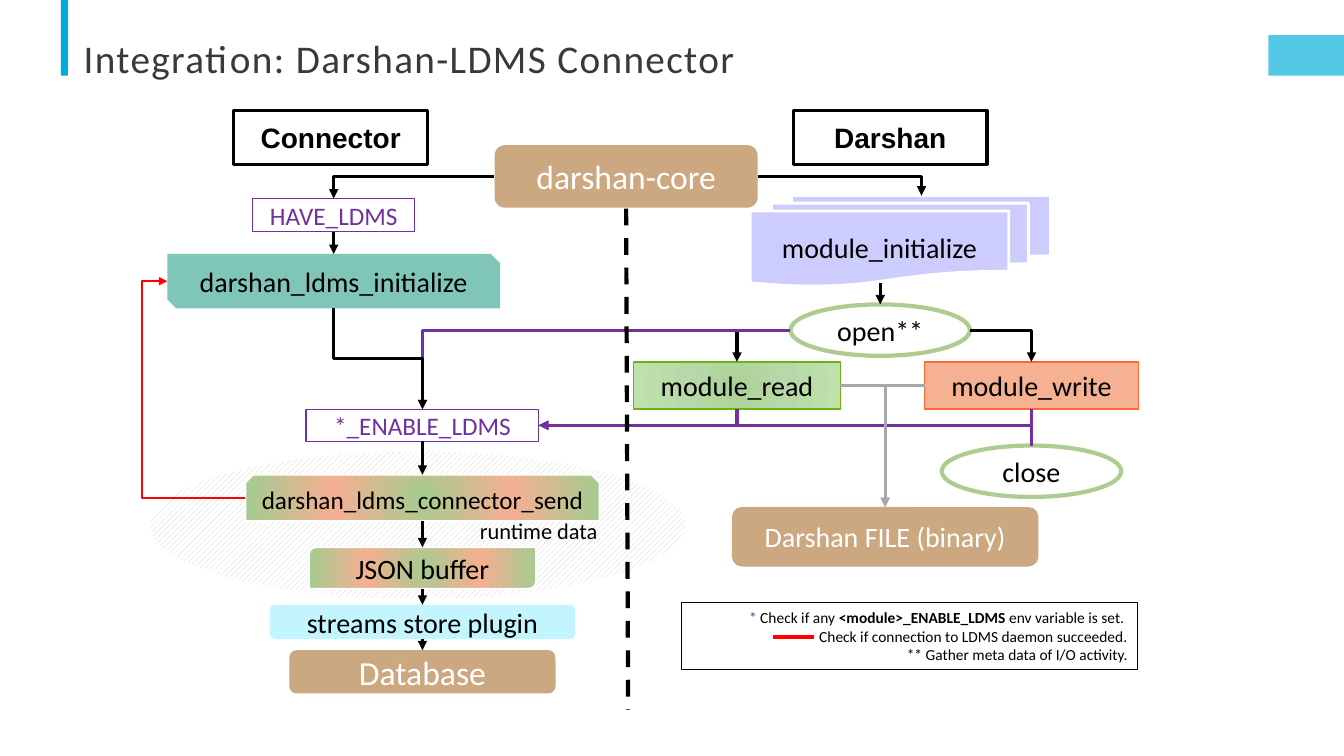
"""Build the Darshan-LDMS Connector integration flow slide."""
from lxml.etree import SubElement
from pptx import Presentation
from pptx.dml.color import RGBColor
from pptx.enum.dml import MSO_LINE, MSO_PATTERN
from pptx.enum.shapes import MSO_CONNECTOR as Link, MSO_SHAPE as Shape
from pptx.enum.text import MSO_ANCHOR as Anchor, PP_ALIGN as Align
from pptx.oxml import parse_xml
from pptx.oxml.ns import nsdecls, qn
from pptx.util import Inches, Pt

BLACK, WHITE = RGBColor(0, 0, 0), RGBColor(255, 255, 255)
RED, PURPLE = RGBColor(255, 0, 0), RGBColor(0x70, 0x30, 0xA0)
GREY, HATCH = RGBColor(0xA8, 0xA8, 0xA8), RGBColor(0xD0, 0xCE, 0xCE)
INK, BLUE = RGBColor(0x3B, 0x38, 0x38), RGBColor(0x00, 0xAC, 0xD9)
BROWN, TEAL = RGBColor(0x99, 0x52, 0x00), RGBColor(0x00, 0x8E, 0x74)
LILAC, CYAN = RGBColor(0xCC, 0xCC, 0xFF), RGBColor(0xC3, 0xF5, 0xFF)
SALMON, ORANGE = RGBColor(0xF5, 0xB1, 0x92), RGBColor(0xFF, 0x68, 0x32)
LEAF, SAGE = RGBColor(0x6C, 0xB3, 0x12), RGBColor(0xAF, 0xCC, 0x90)
GREEN_GLOW = (100, [(0, "AAD195"), (45, "B8D9A7"), (100, "BEE1AD")])
MIXED_GLOW = (50, [(0, "A4CC90"), (50, "F5AF92"), (100, "A4CC90")])

TITLE = "Integration: Darshan-LDMS Connector"
COLUMN = {"start": 3.31, "send": 4.19, "core": 6.21, "read": 7.31,
          "open": 8.73, "file": 8.78, "heading": 8.83, "modules": 8.93, "write": 10.23}
PURPLE_BOX = dict(line=(PURPLE, 0.75), size=18, colour=PURPLE)
BROWN_BOX = dict(fill=BROWN, alpha=50, colour=WHITE)
HEADING = dict(fill=WHITE, line=(BLACK, 2.25), font="Arial", bold=True)
OVAL = dict(fill=WHITE, line=(SAGE, 3))
BOXES = {
    "hatch": (Shape.OVAL, 4.14, 4.47, 5.33, 1.48, "", dict(line=(WHITE, 1.25))),
    "write": (Shape.RECTANGLE, COLUMN["write"], 3.59, 2.12, 0.47, "module_write",
              dict(fill=SALMON, line=(ORANGE, 1))),
    "read": (Shape.RECTANGLE, COLUMN["read"], 3.59, 2.05, 0.47, "module_read",
             dict(glow=GREEN_GLOW, line=(LEAF, 1))),
    "file": (Shape.ROUNDED_RECTANGLE, COLUMN["file"], 5.03, 3.04, 0.59,
             "Darshan FILE (binary)", BROWN_BOX),
    "core": (Shape.ROUNDED_RECTANGLE, COLUMN["core"], 1.44, 2.61, 0.62,
             "darshan-core", dict(BROWN_BOX, size=24)),
    "modules": (Shape.FLOWCHART_MULTIDOCUMENT, COLUMN["modules"], 1.94, 2.98, 0.9,
                "module_initialize", dict(fill=LILAC, line=(WHITE, 2))),
    "have": (Shape.RECTANGLE, COLUMN["start"], 1.97, 1.61, 0.33, "HAVE_LDMS", PURPLE_BOX),
    "initialize": (Shape.SNIP_2_DIAG_RECTANGLE, COLUMN["start"], 2.52, 3.3, 0.54,
                   "darshan_ldms_initialize", dict(fill=TEAL, alpha=50)),
    "open": (Shape.OVAL, COLUMN["open"], 3.02, 1.78, 0.51, "open**", OVAL),
    "close": (Shape.OVAL, COLUMN["write"], 4.42, 1.78, 0.51, "close", OVAL),
    "enable": (Shape.RECTANGLE, COLUMN["send"], 4.06, 2.31, 0.32,
               "*_ENABLE_LDMS", PURPLE_BOX),
    "send": (Shape.SNIP_2_SAME_RECTANGLE, COLUMN["send"], 4.71, 3.51, 0.46,
             "darshan_ldms_connector_send",
             dict(glow=MIXED_GLOW, line=(WHITE, 1.25), size=18)),
    "json": (Shape.ROUND_2_DIAG_RECTANGLE, COLUMN["send"], 5.43, 2.25, 0.41,
             "JSON buffer", dict(glow=MIXED_GLOW, line=(WHITE, 1.25))),
    "plugin": (Shape.ROUNDED_RECTANGLE, COLUMN["send"], 6, 3.03, 0.34,
               "streams store plugin", dict(fill=CYAN)),
    "database": (Shape.ROUNDED_RECTANGLE, COLUMN["send"], 6.45, 2.64, 0.43,
                 "Database", dict(BROWN_BOX, size=24)),
    "connector heading": (Shape.RECTANGLE, 3.28, 1.1, 1.92, 0.53, "Connector", HEADING),
    "darshan heading": (Shape.RECTANGLE, COLUMN["heading"], 1.1, 1.92, 0.53,
                        "Darshan", HEADING),
    "legend": (Shape.RECTANGLE, 9.02, 5.98, 4.53, 0.66, [
        [("* ", dict(colour=PURPLE)), ("Check if any ", {}),
         ("<module>_ENABLE_LDMS ", dict(bold=True)), ("env variable is set. ", {})],
        [("Check if connection to LDMS daemon succeeded.", {})],
        [("** Gather meta data of I/O activity.", {})],
    ], dict(line=(BLACK, 0.75), size=11, align=Align.RIGHT)),
    "page bar": (Shape.RECTANGLE, 0.64, 0, 0.07, 0.75, "", dict(fill=BLUE)),
    "page tab": (Shape.RECTANGLE, 12.955, 0.35, 0.75, 0.4, "", dict(fill=BLUE, alpha=67)),
}
TOP, LEFT, BOTTOM, RIGHT = range(4)
JOINABLE = (Shape.RECTANGLE, Shape.ROUNDED_RECTANGLE)
STRAIGHT = [
    (("have", BOTTOM), ("initialize", TOP), {}),
    ((COLUMN["open"], 2.81), ("open", TOP), {}),
    (("enable", BOTTOM), ("send", TOP), {}),
    (("send", BOTTOM), ("json", TOP), {}),
    (("json", BOTTOM), ("plugin", TOP), {}),
    (("plugin", BOTTOM), ("database", TOP), {}),
    ((7.67, 6.32), (8.07, 6.32), dict(colour=RED, arrow=None)),
    ((6.21, 2.07), (6.23, 7.04), dict(width=3, arrow=None, dash=True)),
]
BACKWARD = dict(colour=PURPLE, arrow="headEnd")
CORNERS = [
    (("core", RIGHT), (9.14, 1.94), {}),
    (("core", LEFT), ("have", TOP), {}),
    (("open", RIGHT), ("write", TOP), {}),
    (("open", LEFT), ("read", TOP), {}),
    (("open", LEFT), ("enable", TOP), dict(colour=PURPLE)),
    (("enable", RIGHT), ("close", TOP), BACKWARD),
    (("enable", RIGHT), ("read", BOTTOM), BACKWARD),
    (("enable", RIGHT), ("write", BOTTOM), BACKWARD),
    (("read", RIGHT), ("file", TOP), dict(colour=GREY)),
    (("write", LEFT), ("file", TOP), dict(colour=GREY)),
]


def write(frame, text, font="Calibri", size=20, colour=BLACK, bold=False,
          align=Align.CENTER, anchor=Anchor.MIDDLE, wrap=True):
    """Fill a text frame with a string or with lists of formatted spans."""
    frame.word_wrap, frame.vertical_anchor = wrap, anchor
    lines = [[(text, {})]] if isinstance(text, str) else text
    for number, line in enumerate(lines):
        para = frame.add_paragraph() if number else frame.paragraphs[0]
        para.alignment = align
        for words, change in line:
            span = para.add_run()
            span.text = words
            span.font.name, span.font.size = font, Pt(size)
            span.font.bold = change.get("bold", bold)
            span.font.color.rgb = change.get("colour", colour)


def add_box(page, kind, centre, top, width, height, text,
            fill=None, alpha=None, glow=None, line=None, **style):
    """Draw one preset shape around its centre column."""
    box = page.shapes.add_shape(kind, Inches(centre - width / 2), Inches(top),
                                Inches(width), Inches(height))
    box.shadow.inherit = False
    box.fill.background()
    if fill:
        box.fill.solid()
        box.fill.fore_color.rgb = fill
    if alpha:
        colour = box._element.spPr.find(qn("a:solidFill"))[0]
        SubElement(colour, qn("a:alpha"), val=str(alpha * 1000))
    if glow:
        focus, stops = glow
        edge = focus * 1000
        marks = "".join(f'<a:gs pos="{at * 1000}"><a:srgbClr val="{code}"/></a:gs>'
                        for at, code in stops)
        properties = box._element.spPr
        properties.replace(properties.find(qn("a:noFill")), parse_xml(
            f'<a:gradFill {nsdecls("a")}><a:gsLst>{marks}</a:gsLst><a:path path="circle">'
            f'<a:fillToRect l="{edge}" t="{edge}" r="{edge}" b="{edge}"/></a:path></a:gradFill>'))
    if line:
        box.line.color.rgb, box.line.width = line[0], Pt(line[1])
    else:
        box.line.fill.background()
    if text:
        write(box.text_frame, text, **style)
    return box


def locate(end):
    """Return the point of a box side, or the point itself."""
    if not isinstance(end[0], str):
        return end
    name, side = end
    _, centre, top, width, height, _, _ = BOXES[name]
    return (centre + {LEFT: -width / 2, RIGHT: width / 2}.get(side, 0),
            top + {TOP: 0, BOTTOM: height}.get(side, height / 2))


def add_link(page, kind, start, finish, colour=BLACK, width=2.25,
             arrow="tailEnd", dash=False):
    """Draw a connector between two points."""
    link = page.shapes.add_connector(kind, *map(Inches, (*start, *finish)))
    link.line.color.rgb, link.line.width = colour, Pt(width)
    if dash:
        link.line.dash_style = MSO_LINE.DASH
    if arrow:
        SubElement(link.line._get_or_add_ln(), qn(f"a:{arrow}"), type="triangle")
    SubElement(link._element.spPr, qn("a:effectLst"))
    return link


def geometry(link):
    """Return the preset geometry element of a connector."""
    return link._element.spPr.find(qn("a:prstGeom"))


def add_links(page, boxes):
    """Draw the straight, cornered and stepped arrows."""
    for start, finish, style in CORNERS:
        link = add_link(page, Link.ELBOW, locate(start), locate(finish), **style)
        geometry(link).set("prst", "bentConnector2")

    (x1, y1), (x2, y2) = locate(("initialize", BOTTOM)), locate(("enable", TOP))
    middle, centre = (x1 + x2) / 2, (y1 + y2) / 2
    half_run, half_rise = (y2 - y1) / 2, (x2 - x1) / 2
    step = add_link(page, Link.ELBOW, (middle + half_run, centre - half_rise),
                    (middle - half_run, centre + half_rise))
    step._element.spPr.find(qn("a:xfrm")).set("rot", str(270 * 60000))

    loop = add_link(page, Link.ELBOW, locate(("send", LEFT)),
                    locate(("initialize", LEFT)), colour=RED, width=1.25)
    guides = geometry(loop).find(qn("a:avLst"))
    SubElement(guides, qn("a:gd"), name="adj1", fmla="val 132000")

    for start, finish, style in STRAIGHT:
        link = add_link(page, Link.STRAIGHT, locate(start), locate(finish), **style)
        for end, join in ((start, link.begin_connect), (finish, link.end_connect)):
            if end[0] in boxes and BOXES[end[0]][0] in JOINABLE:
                join(boxes[end[0]], end[1])


def main():
    """Assemble and save the slide."""
    deck = Presentation()
    deck.slide_width, deck.slide_height = Inches(13.33), Inches(7.5)
    page = deck.slides.add_slide(deck.slide_layouts[5])
    title = page.shapes.title
    title.left, title.top, title.width, title.height = map(Inches, (0.73, 0.36, 11, 0.62))
    write(title.text_frame, TITLE, size=28, colour=INK, align=Align.LEFT, anchor=Anchor.TOP)
    heading = title.text_frame.paragraphs[0]
    heading.line_spacing = 0.85
    heading.runs[0].font._element.set("spc", "100")

    boxes = {name: add_box(page, *row[:6], **row[6]) for name, row in BOXES.items()}
    hatch = boxes["hatch"].fill
    hatch.patterned()
    hatch.pattern = MSO_PATTERN.WIDE_UPWARD_DIAGONAL
    hatch.fore_color.rgb, hatch.back_color.rgb = HATCH, WHITE
    label = page.shapes.add_textbox(*map(Inches, (4.66, 5.08, 1.81, 0.37)))
    write(label.text_frame, "runtime data", size=16, align=Align.LEFT, anchor=Anchor.TOP)
    add_links(page, boxes)
    deck.save("out.pptx")


if __name__ == "__main__":
    main()
